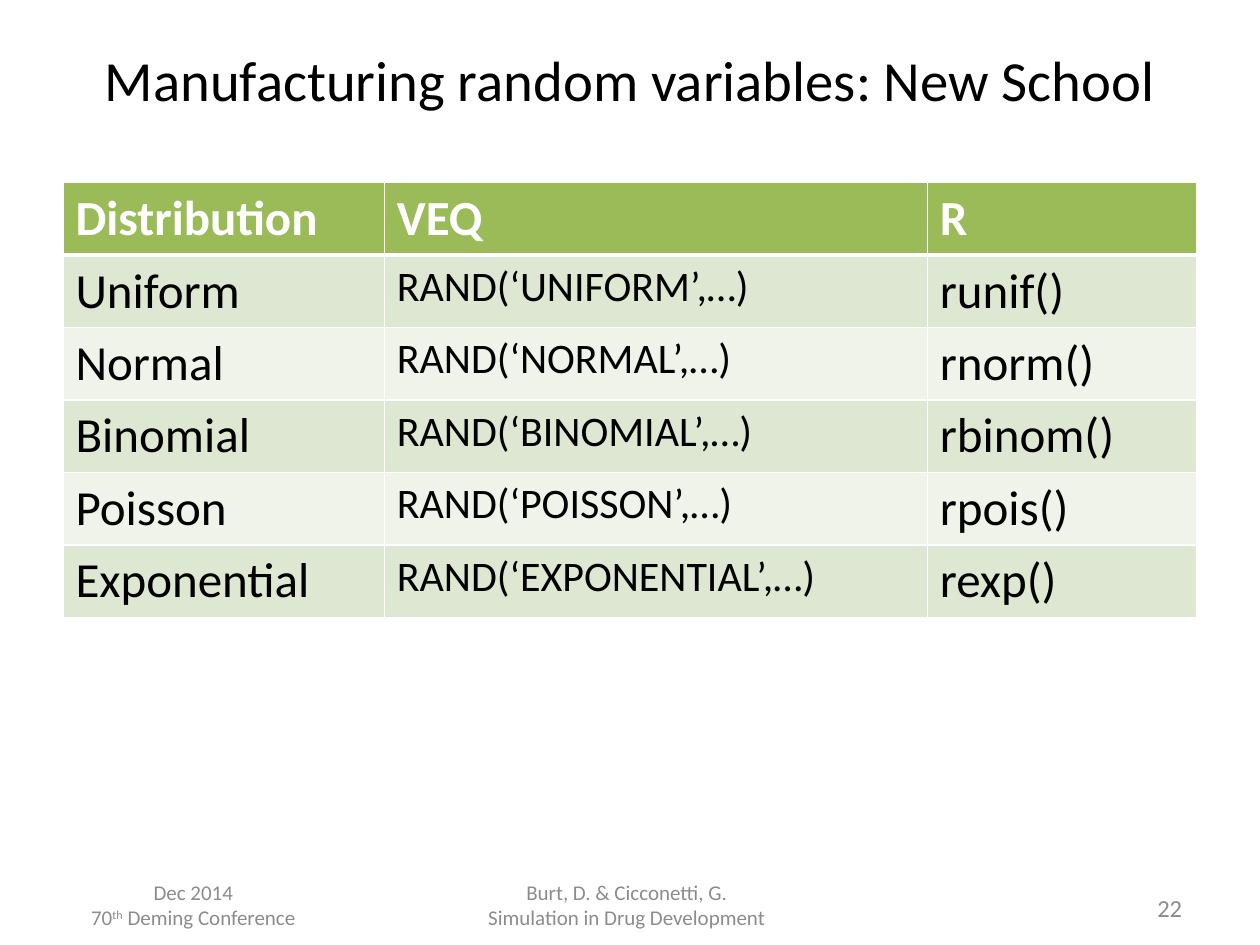
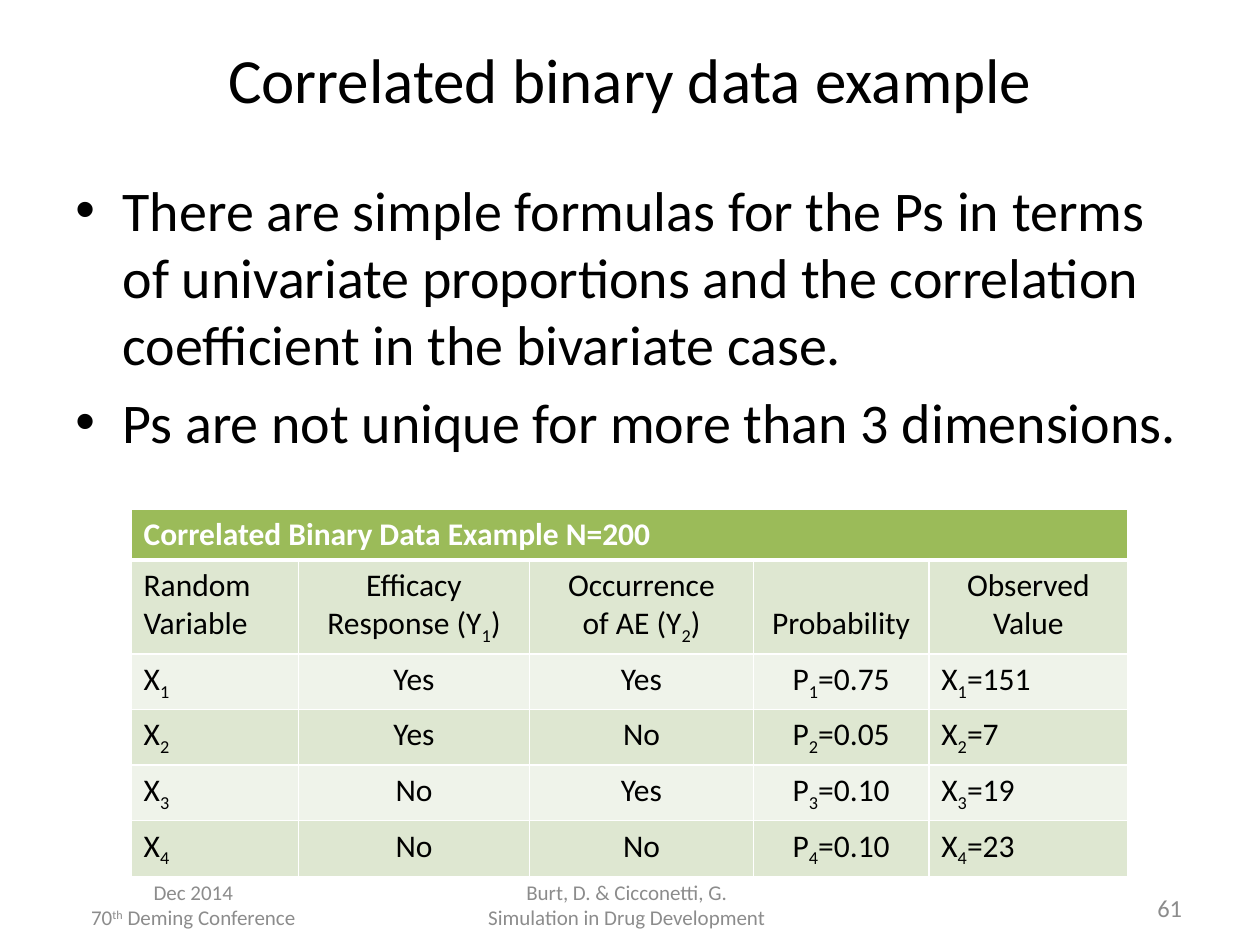
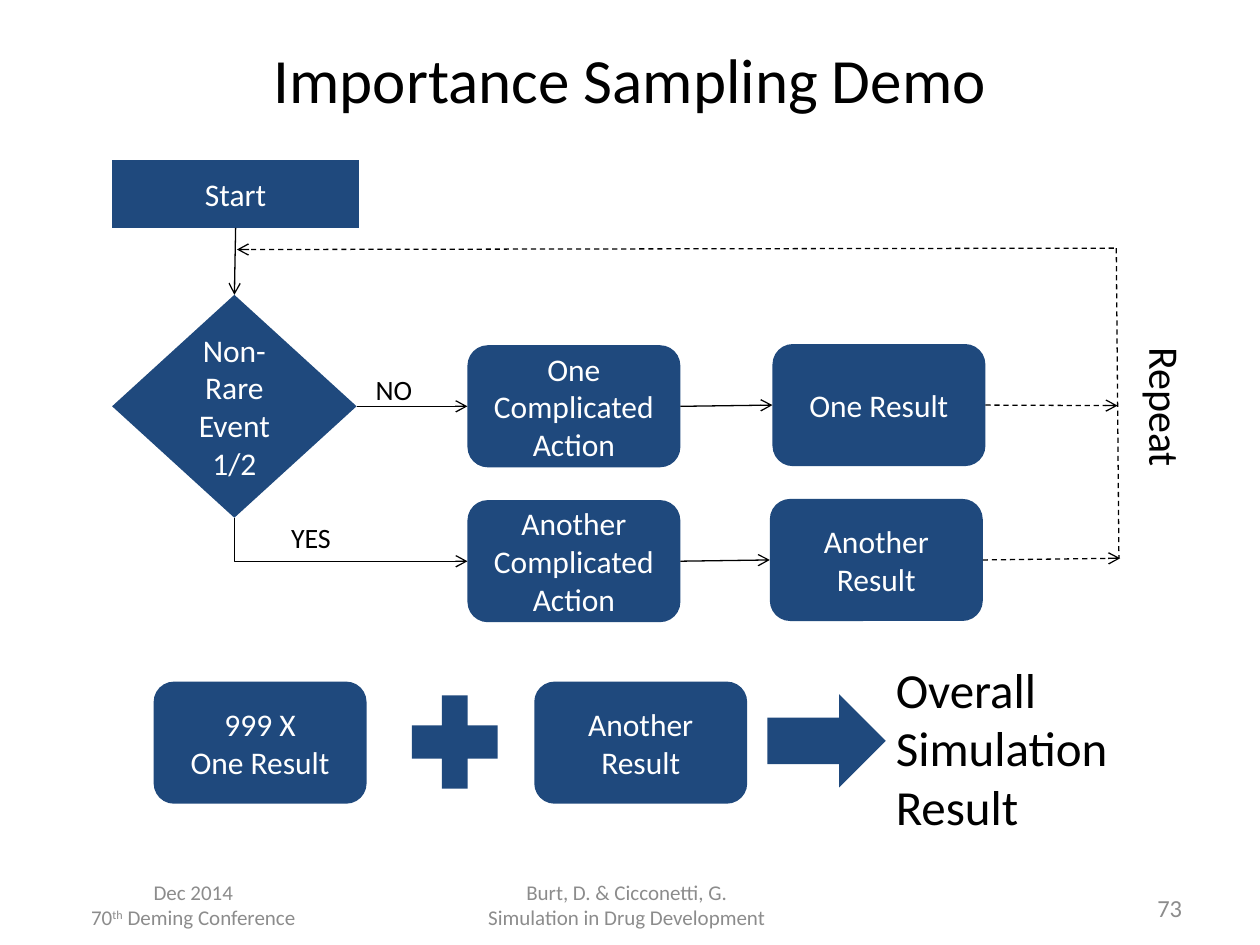
from pptx import Presentation
from pptx.dml.color import RGBColor
from pptx.enum.dml import MSO_LINE
from pptx.enum.shapes import MSO_CONNECTOR as Link, MSO_SHAPE as Kind
from pptx.enum.text import MSO_ANCHOR as Anchor, PP_ALIGN as Align
from pptx.oxml.ns import qn
from pptx.oxml.xmlchemy import OxmlElement as Node
from pptx.util import Pt

BLACK = RGBColor(0x00, 0x00, 0x00)
WHITE = RGBColor(0xFF, 0xFF, 0xFF)
GREY = RGBColor(0x8C, 0x8C, 0x8C)
NAVY = RGBColor(0x1F, 0x49, 0x7D)
GREEN = RGBColor(0x9B, 0xBB, 0x59)
BANDS = RGBColor(0xEF, 0xF3, 0xEA), RGBColor(0xDE, 0xE7, 0xD1)
FONT = "Calibri"
SHIFTS = {"_": "-25000", "^": "30000"}
TOP, LEFT, BOTTOM, RIGHT = range(4)


def child(parent, tag, **attrs):
    node = Node(tag)
    for key, value in attrs.items():
        node.set(key, str(value))
    parent.append(node)
    return node


def write(frame, text, size=18, color=BLACK, bold=False, align=Align.LEFT, gap=0, bullet=False):
    frame.word_wrap = True
    for i, line in enumerate(text.split("\n")):
        para = frame.add_paragraph() if i else frame.paragraphs[0]
        if bullet:
            props = para._p.get_or_add_pPr()
            props.set("marL", str(Pt(27)))
            props.set("indent", str(Pt(-27)))
            child(props, "a:buFont", typeface="Arial")
            child(props, "a:buChar", char="•")
        para.alignment = align
        if i and gap:
            para.space_before = Pt(gap)
        for part in line.split("|"):
            shift = SHIFTS.get(part[0])
            run = para.add_run()
            run.text = part[1:] if shift else part
            font = run.font
            font.name, font.size, font.bold = FONT, Pt(size), bold
            font.color.rgb = color
            if shift:
                run._r.get_or_add_rPr().set("baseline", shift)


class Deck:
    def __init__(self):
        self.file = Presentation()
        self.file.slide_width, self.file.slide_height = Pt(720), Pt(540)

    def page(self, title, number, size=36):
        self.shapes = self.file.slides.add_slide(self.file.slide_layouts[6]).shapes
        foot = dict(size=12, color=GREY, align=Align.CENTER, anchor=Anchor.MIDDLE)
        self.text("Dec 2014\n70|^th| Deming Conference", 36, 502.6, 149, 28.8, **foot)
        self.text("Burt, D. & Cicconetti, G.\nSimulation in Drug Development",
                  195.8, 502.6, 324.7, 28.8, **foot)
        self.text(str(number), 579.6, 506.9, 103, 24.5, size=14, color=GREY, align=Align.RIGHT)
        self.text(title, 36, 11.5, 648, 67, size=size, align=Align.CENTER, anchor=Anchor.MIDDLE)

    def text(self, text, x, y, w, h, anchor=Anchor.TOP, inset=True, turn=0, **style):
        box = self.shapes.add_textbox(Pt(x), Pt(y), Pt(w), Pt(h))
        box.rotation = turn
        frame = box.text_frame
        frame.vertical_anchor = anchor
        if not inset:
            frame.margin_left = frame.margin_right = frame.margin_top = frame.margin_bottom = 0
        write(frame, text, **style)

    def shape(self, kind, x, y, w, h, text=""):
        item = self.shapes.add_shape(kind, Pt(x), Pt(y), Pt(w), Pt(h))
        item.shadow.inherit = False
        item.fill.solid()
        item.fill.fore_color.rgb = NAVY
        item.line.fill.background()
        if text:
            item.text_frame.vertical_anchor = Anchor.MIDDLE
            write(item.text_frame, text, color=WHITE, align=Align.CENTER)
        return item

    def step(self, text, x, y):
        return self.shape(Kind.FLOWCHART_ALTERNATE_PROCESS, x, y, 121.7, 69.8, text)

    def link(self, start, end, kind=Link.STRAIGHT, dash=False, arrow=True):
        spots = [(0, 0) if hasattr(tip[0], "shape_id") else tip for tip in (start, end)]
        line = self.shapes.add_connector(kind, *[Pt(n) for spot in spots for n in spot])
        for tip, join in (start, line.begin_connect), (end, line.end_connect):
            if hasattr(tip[0], "shape_id"):
                join(*tip)
        line.line.color.rgb = BLACK
        line.line.width = Pt(0.75)
        if dash:
            line.line.dash_style = MSO_LINE.DASH
        props = line._element.spPr
        if arrow:
            child(props.find(qn("a:ln")), "a:tailEnd", type="arrow")
        child(props, "a:effectLst")
        return line

    def bend(self, start, end):
        line = self.link(start, end, Link.ELBOW)
        x, y, w, h = line.left, line.top, line.width, line.height
        line.left, line.top = x + (w - h) // 2, y + (h - w) // 2
        line.width, line.height = h, w
        props = line._element.spPr
        props.find(qn("a:prstGeom")).set("prst", "bentConnector2")
        frame = props.find(qn("a:xfrm"))
        frame.set("rot", "16200000")
        frame.set("flipH", "1")

    def edge(self, cell, row):
        props = cell._tc.get_or_add_tcPr()
        widths = {"L": 1, "R": 1, "T": 3 if row == 1 else 1, "B": 1 if row else 3}
        for side, width in widths.items():
            line = child(props, "a:ln" + side, w=Pt(width))
            child(child(line, "a:solidFill"), "a:srgbClr", val=WHITE)

    def table(self, x, y, cols, heights, rows, style):
        grid = self.shapes.add_table(len(rows), len(cols), Pt(x), Pt(y),
                                     Pt(sum(cols)), Pt(sum(heights))).table
        grid.first_row = grid.horz_banding = False
        for col, width in zip(grid.columns, cols):
            col.width = Pt(width)
        for r, (height, texts) in enumerate(zip(heights, rows)):
            grid.rows[r].height = Pt(height)
            for c in range(len(cols)):
                cell = grid.cell(r, c)
                self.edge(cell, r)
                cell.fill.solid()
                cell.fill.fore_color.rgb = BANDS[r % 2] if r else GREEN
                if c < len(texts):
                    look = style(r, c)
                    if r == 0:
                        look.update(color=WHITE, bold=True)
                    write(cell.text_frame, texts[c], **look)
        return grid


def schools(deck):
    deck.page("Manufacturing random variables: New School", 22, 32.4)
    calls = {"Uniform": "runif", "Normal": "rnorm", "Binomial": "rbinom",
             "Poisson": "rpois", "Exponential": "rexp"}
    rows = [("Distribution", "VEQ", "R")]
    rows += [(name, f"RAND(‘{name.upper()}’,…)", call + "()") for name, call in calls.items()]
    deck.table(36, 104.4, [183.6, 310.3, 154.1], [41.4] * 6, rows,
               lambda r, c: dict(size=24 if r and c == 1 else 28))


def binary(deck):
    deck.page("Correlated binary data example", 61)
    deck.text("There are simple formulas for the Ps in terms of univariate proportions "
              "and the correlation coefficient in the bivariate case.\n"
              "Ps are not unique for more than 3 dimensions.",
              36, 96.5, 648, 388.8, size=32, gap=6.4, bullet=True)
    rows = [("Correlated Binary Data Example N=200",),
            ("Random\nVariable", "Efficacy\nResponse (Y|_1|)", "Occurrence\nof AE (Y|_2|)",
             "Probability", "Observed\nValue")]
    cases = [("Yes", "Yes", "0.75", 151), ("Yes", "No", "0.05", 7),
             ("No", "Yes", "0.10", 19), ("No", "No", "0.10", 23)]
    rows += [(f"X|_{i}", first, second, f"P|_{i}|={prob}", f"X|_{i}|={count}")
             for i, (first, second, prob, count) in enumerate(cases, 1)]

    def style(r, c):
        mid = r and c in (1, 2, 3) or (r, c) == (1, 4)
        return dict(align=Align.CENTER if mid else Align.LEFT)

    grid = deck.table(74.9, 290.9, [95.8, 131.8, 128.2, 100.1, 113.8],
                      [29.2, 53.6] + [31.6] * 4, rows, style)
    grid.cell(0, 0).merge(grid.cell(0, 4))
    grid.cell(1, 3).margin_top = Pt(25.6)


def demo(deck):
    deck.page("Importance Sampling Demo", 73)
    start = deck.shape(Kind.FLOWCHART_PROCESS, 64.1, 91.4, 141.1, 38.9, "Start")
    event = deck.shape(Kind.FLOWCHART_DECISION, 64.1, 168.5, 139.7, 127.4, "Non-Rare Event 1/2")
    one = deck.step("One Complicated Action", 267.1, 197.3)
    other = deck.step("Another Complicated Action", 267.1, 285.8)
    first = deck.step("One Result", 441.4, 196.6)
    second = deck.step("Another Result", 439.9, 285.1)

    deck.link((start, BOTTOM), (event, TOP))
    deck.link((event, RIGHT), (one, LEFT))
    deck.bend((event, BOTTOM), (other, LEFT))
    deck.link((one, RIGHT), (first, LEFT))
    deck.link((other, RIGHT), (second, LEFT))
    deck.link((637.9, 141.8), (639.4, 319), dash=True, arrow=False)
    deck.link((636.5, 141.8), (135.4, 142.6), dash=True)
    deck.link((first, RIGHT), (638.6, 231.8), dash=True)
    deck.link((second, RIGHT), (640.1, 319), dash=True)

    deck.text("Repeat", 611.3, 229, 100.1, 38.9, inset=False, turn=90, size=24)
    deck.text("NO", 214.6, 213.1, 36.7, 22.3, inset=False, size=16)
    deck.text("YES", 166.3, 297.4, 66.2, 28.1, inset=False, size=16)

    deck.step("999 X\nOne Result", 87.8, 389.5)
    plus = deck.shape(Kind.CROSS, 235.4, 397.4, 49, 53.3)
    plus.adjustments[0] = 0.35
    deck.step("Another Result", 305.3, 389.5)
    deck.shape(Kind.RIGHT_ARROW, 438.5, 396.7, 67.7, 53.3)
    deck.text("Overall Simulation Result", 511.9, 376.6, 144, 103.7, inset=False, size=28)


def main():
    deck = Deck()
    for build in schools, binary, demo:
        build(deck)
    deck.file.save("out.pptx")


if __name__ == "__main__":
    main()
